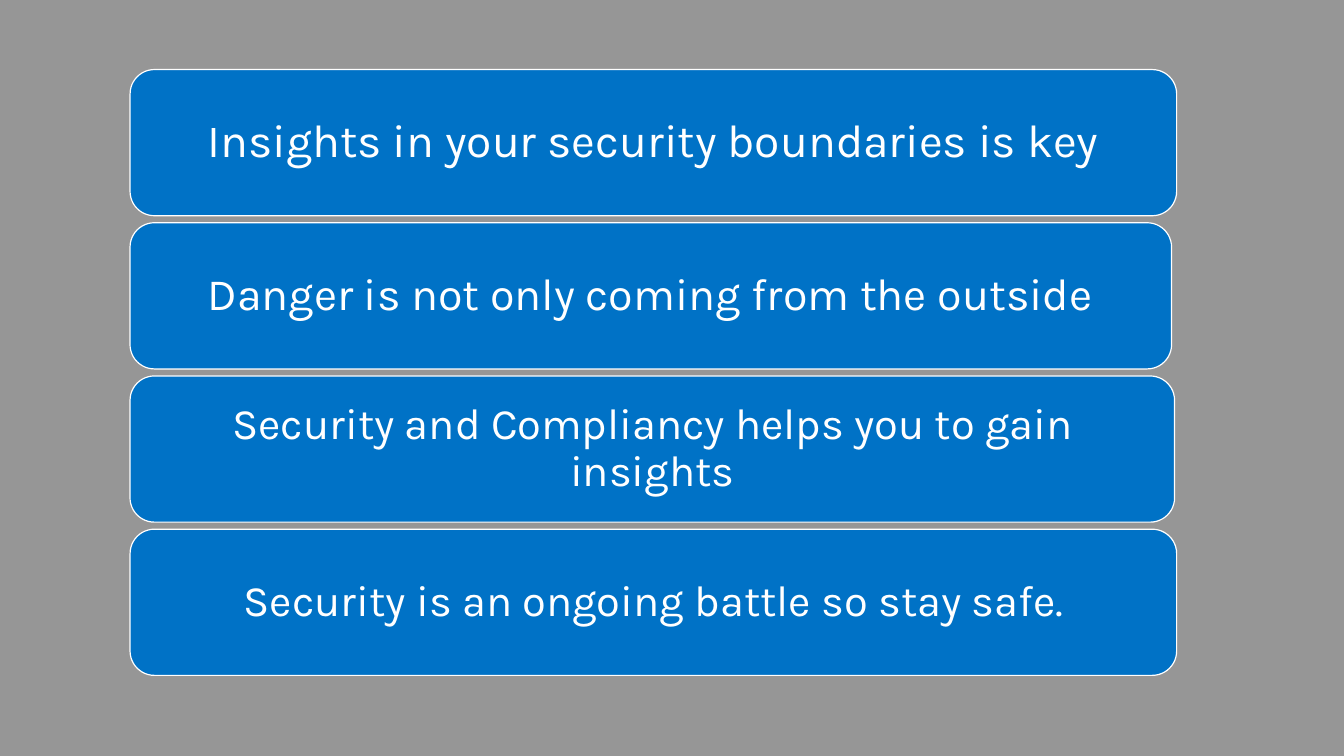
"""Build a slide with four stacked security takeaways."""
from dataclasses import dataclass

from pptx import Presentation
from pptx.dml.color import RGBColor
from pptx.enum.shapes import MSO_SHAPE
from pptx.enum.text import MSO_ANCHOR, PP_ALIGN
from pptx.slide import Slide
from pptx.util import Inches, Pt

ROUNDED = MSO_SHAPE.ROUNDED_RECTANGLE
MIDDLE = MSO_ANCHOR.MIDDLE
CENTER = PP_ALIGN.CENTER

BLANK_LAYOUT = 6
GRAY, BLUE, WHITE = "969696", "0072C6", "FFFFFF"
LEFT, TOP, HEIGHT, PITCH = 1.29, 0.69, 1.45, 1.52


@dataclass(frozen=True)
class Takeaway:
    message: str
    width: float
    size: int


TAKEAWAYS = [
    Takeaway("Insights in your security boundaries is key", 10.38, 33),
    Takeaway("Danger is not only coming from the outside", 10.33, 32),
    Takeaway("Security and Compliancy helps you to gain insights", 10.36, 31),
    Takeaway("Security is an ongoing battle so stay safe.", 10.38, 31),
]


def paint(color_format, hex_color: str) -> None:
    color_format.rgb = RGBColor.from_string(hex_color)


def add_takeaway(slide: Slide, takeaway: Takeaway, top: float) -> None:
    banner = slide.shapes.add_shape(
        ROUNDED, Inches(LEFT), Inches(top), Inches(takeaway.width), Inches(HEIGHT)
    )
    banner.shadow.inherit = False
    banner.fill.solid()
    paint(banner.fill.fore_color, BLUE)
    paint(banner.line.color, WHITE)
    banner.line.width = Pt(0.85)

    frame = banner.text_frame
    frame.word_wrap = True
    frame.vertical_anchor = MIDDLE
    frame.margin_left = frame.margin_right = Inches(0.13)
    frame.margin_top = frame.margin_bottom = Inches(0.07)

    message = frame.paragraphs[0]
    message.text = takeaway.message
    message.alignment = CENTER
    message.line_spacing = 0.9
    message.font.name = "Karla"
    message.font.size = Pt(takeaway.size)
    paint(message.font.color, WHITE)


def main() -> None:
    presentation = Presentation()
    presentation.slide_width = Inches(13.33)
    presentation.slide_height = Inches(7.5)
    slide = presentation.slides.add_slide(presentation.slide_layouts[BLANK_LAYOUT])
    slide.background.fill.solid()
    paint(slide.background.fill.fore_color, GRAY)
    for row, takeaway in enumerate(TAKEAWAYS):
        add_takeaway(slide, takeaway, TOP + row * PITCH)
    presentation.save("out.pptx")


if __name__ == "__main__":
    main()
